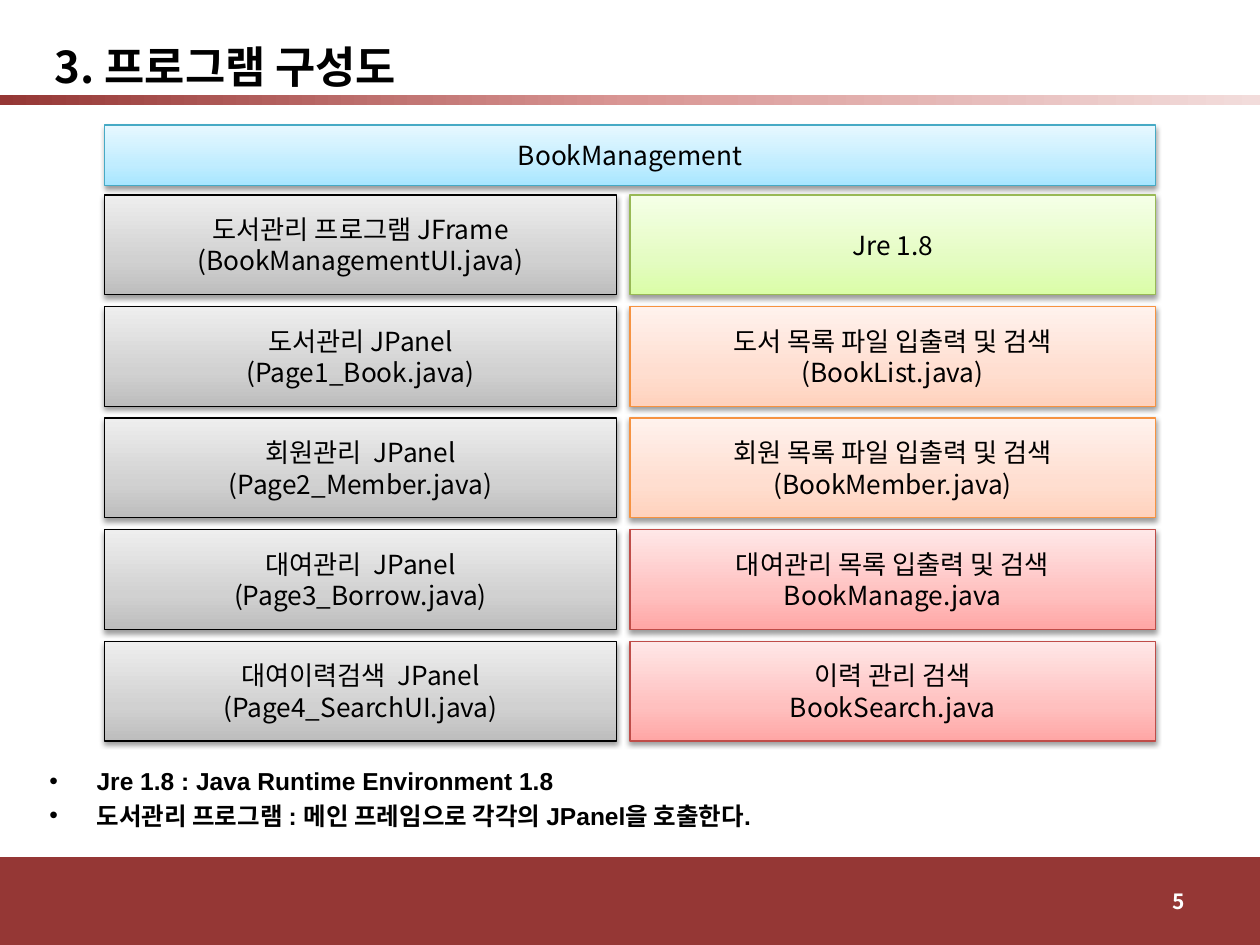
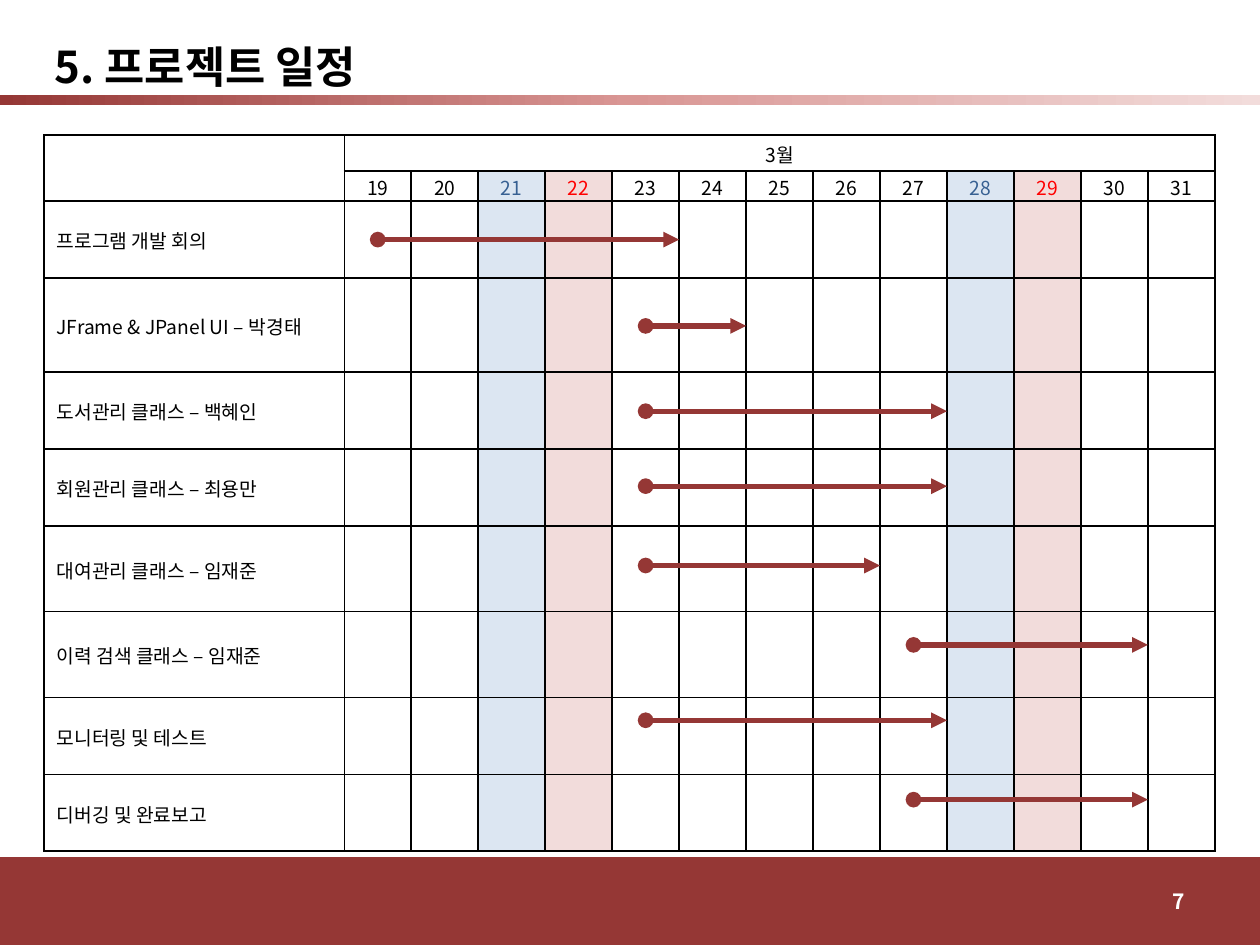
from itertools import chain

from lxml.etree import SubElement
from pptx import Presentation
from pptx.dml.color import RGBColor
from pptx.enum.shapes import MSO_CONNECTOR, MSO_SHAPE
from pptx.enum.text import MSO_ANCHOR, MSO_AUTO_SIZE, PP_ALIGN
from pptx.oxml.ns import qn
from pptx.util import Cm, Pt

KOREAN, LATIN = "Noto Sans CJK KR", "Arial"
BRAND, BLACK, WHITE = "953735", "000000", "FFFFFF"
BAND_STOPS = [(0, BRAND), (50, "D99694"), (100, "F2DCDB")]

TITLE_FONT = {"size": Pt(25), "bold": True}
MODULE_FONT = {"size": Pt(15), "bold": False}
NOTE_FONT = {"size": Pt(14), "bold": True}
PAGE_FONT = {"size": Pt(12), "bold": True}
TABLE_FONT = {"size": Pt(11), "bold": False}
MIDDLE = {"word_wrap": True, "auto_size": MSO_AUTO_SIZE.NONE,
          "vertical_anchor": MSO_ANCHOR.MIDDLE}
TOP = {**MIDDLE, "vertical_anchor": MSO_ANCHOR.TOP}
CELL = {"vertical_anchor": MSO_ANCHOR.MIDDLE, "margin_left": Cm(0.03),
        "margin_right": Cm(0.03), "margin_top": Cm(0.03), "margin_bottom": 0}

THEMES = {
    "main": ("46AAC5", ["A7E6FF", "C1EDFF", "E7F8FF"]),
    "screen": (BLACK, ["BDBDBD", "D1D1D1", "EEEEEE"]),
    "runtime": ("98B955", ["DAFDA7", "E4FCC2", "F5FFE7"]),
    "list": ("F69240", ["FFD2BD", "FFDED0", "FFF2ED"]),
    "rental": ("BF4C48", ["FFA6A5", "FFC0BF", "FFE7E7"]),
}
SCREENS = [
    ("screen", ["도서관리 프로그램 JFrame", "(BookManagementUI.java)"]),
    ("screen", ["도서관리 JPanel", "(Page1_Book.java)"]),
    ("screen", ["회원관리  JPanel", "(Page2_Member.java)"]),
    ("screen", ["대여관리  JPanel", "(Page3_Borrow.java)"]),
    ("screen", ["대여이력검색  JPanel", "(Page4_SearchUI.java)"]),
]
SERVICES = [
    ("runtime", ["Jre 1.8"]),
    ("list", ["도서 목록 파일 입출력 및 검색", "(BookList.java)"]),
    ("list", ["회원 목록 파일 입출력 및 검색", "(BookMember.java)"]),
    ("rental", ["대여관리 목록 입출력 및 검색", "BookManage.java"]),
    ("rental", ["이력 관리 검색", "BookSearch.java"]),
]
NOTES = ["Jre 1.8 : Java Runtime Environment 1.8",
         "도서관리 프로그램 : 메인 프레임으로 각각의 JPanel을 호출한다."]

DAYS = range(19, 32)
SATURDAY, SUNDAY = ("376092", "DCE6F2"), ("FF0000", "F2DCDB")
WEEKEND = {21: SATURDAY, 22: SUNDAY, 28: SATURDAY, 29: SUNDAY}
TASKS = [  # label, row height, first day, last day, arrow level
    ("프로그램 개발 회의", 1.55, 19, 23, 4.83),
    ("JFrame & JPanel UI – 박경태", 1.9, 23, 24, 6.57),
    ("도서관리 클래스 – 백혜인", 1.55, 23, 27, 8.29),
    ("회원관리 클래스 – 최용만", 1.55, 23, 27, 9.8),
    ("대여관리 클래스 – 임재준", 1.73, 23, 26, 11.4),
    ("이력 검색 클래스 – 임재준", 1.73, 27, 30, 13.0),
    ("모니터링 및 테스트", 1.55, 23, 27, 14.52),
    ("디버깅 및 완료보고", 1.55, 27, 30, 16.12),
]
HEADER_HEIGHTS = [0.73, 0.6]
TABLE_LEFT, TABLE_TOP, LABEL_WIDTH, DAY_WIDTH = 0.89, 2.72, 6.05, 1.35


def color(value):
    """Turn a hex string into a colour."""
    return RGBColor.from_string(value)


def cm(*lengths):
    """Convert several centimetre lengths."""
    return [Cm(length) for length in lengths]


def apply(target, formats):
    """Set every attribute listed in a format dict."""
    for name, value in formats.items():
        setattr(target, name, value)


def add(parent, tag, **attributes):
    """Append a DrawingML element with attributes."""
    return SubElement(parent, qn(f"a:{tag}"), {k: str(v) for k, v in attributes.items()})


def write(frame, lines, font, ink=BLACK, align=None, face=KOREAN):
    """Fill a text frame with one formatted paragraph per line."""
    for index, line in enumerate(lines):
        paragraph = frame.add_paragraph() if index else frame.paragraphs[0]
        paragraph.alignment = align
        run = paragraph.add_run()
        run.text = line
        apply(run.font, {**font, "name": face})
        run.font.color.rgb = color(ink)
        add(run.font._element, "ea", typeface=KOREAN)


def place(shape, box):
    """Move a placeholder to a box given in centimetres."""
    apply(shape, dict(zip(("left", "top", "width", "height"), cm(*box))))


def shade(shape, stops, angle):
    """Give a shape a linear gradient with any number of stops."""
    shape.fill.gradient()
    shape.fill.gradient_angle = angle
    stop_list = shape._element.spPr.find(qn("a:gradFill")).find(qn("a:gsLst"))
    for stop in list(stop_list):
        stop_list.remove(stop)
    for position, value in stops:
        add(add(stop_list, "gs", pos=position * 1000), "srgbClr", val=value)


def add_rectangle(slide, box):
    """Add a rectangle without shadow or line."""
    rectangle = slide.shapes.add_shape(MSO_SHAPE.RECTANGLE, *cm(*box))
    rectangle.shadow.inherit = False
    rectangle.line.fill.background()
    return rectangle


def start_slide(deck, layout, heading, page):
    """Add a slide with the shared footer, band, title and page number."""
    slide = deck.slides.add_slide(deck.slide_layouts.get_by_name(layout))
    footer = add_rectangle(slide, (0, 17.32, 25.4, 1.73))
    footer.fill.solid()
    footer.fill.fore_color.rgb = footer.line.color.rgb = color(BRAND)
    footer.line.width = Pt(2)
    shade(add_rectangle(slide, (0, 1.92, 25.4, 0.2)), BAND_STOPS, 0)
    title = slide.shapes.title
    place(title, (0.85, 0.74, 22.86, 1.17))
    apply(title.text_frame, MIDDLE)
    write(title.text_frame, [heading], TITLE_FONT, align=PP_ALIGN.LEFT)
    number = slide.shapes.add_textbox(*cm(18.2, 17.66, 5.93, 1.02)).text_frame
    apply(number, MIDDLE)
    write(number, [page], PAGE_FONT, WHITE, PP_ALIGN.RIGHT)
    return slide


def add_module(slide, box, theme, lines):
    """Draw one shaded program module with its caption."""
    edge, tones = THEMES[theme]
    module = add_rectangle(slide, box)
    shade(module, zip((0, 35, 100), tones), 90)
    module.line.color.rgb = color(edge)
    module.line.width = Pt(0.75)
    effects = module._element.spPr.find(qn("a:effectLst"))
    shadow = add(effects, "outerShdw", blurRad=Pt(3.1), dist=Pt(1.6),
                 dir=5400000, rotWithShape=0)
    add(add(shadow, "srgbClr", val=BLACK), "alpha", val=38000)
    apply(module.text_frame, MIDDLE)
    write(module.text_frame, lines, MODULE_FONT, align=PP_ALIGN.CENTER)


def build_structure(deck):
    """Build the program structure slide."""
    slide = start_slide(deck, "Title and Content", "3. 프로그램 구성도", "5")
    add_module(slide, (2.11, 2.52, 21.18, 1.22), "main", ["BookManagement"])
    for left, width, modules in ((2.11, 10.32, SCREENS), (12.7, 10.59, SERVICES)):
        for row, (theme, lines) in enumerate(modules):
            add_module(slide, (left, 3.93 + row * 2.25, width, 2.01), theme, lines)
    notes = slide.placeholders[1]
    place(notes, (0.74, 15.32, 23.9, 1.8))
    apply(notes.text_frame, TOP)
    write(notes.text_frame, NOTES, NOTE_FONT, face=LATIN)


def format_cell(cell, fill):
    """Set the margins, fill and borders of a table cell."""
    apply(cell, CELL)
    cell.text_frame.paragraphs[0]._p.get_or_add_endParaRPr().set("sz", "1100")
    properties = cell._tc.get_or_add_tcPr()
    for side in ("lnL", "lnR", "lnT", "lnB"):
        border = add(properties, side, w=Pt(1))
        add(add(border, "solidFill"), "srgbClr", val=BLACK)
    if fill:
        cell.fill.solid()
        cell.fill.fore_color.rgb = color(fill)
    else:
        cell.fill.background()


def add_arrow(slide, first, last, level):
    """Draw an arrow from the middle of the first day to the end of the last."""
    days_left = TABLE_LEFT + LABEL_WIDTH
    start = days_left + (first - DAYS[0] + 0.5) * DAY_WIDTH
    end = days_left + (last - DAYS[0] + 1) * DAY_WIDTH
    arrow = slide.shapes.add_connector(MSO_CONNECTOR.STRAIGHT, *cm(start, level, end, level))
    arrow.line.color.rgb = color(BRAND)
    arrow.line.width = Pt(3)
    line = arrow.line._get_or_add_ln()
    add(line, "headEnd", type="oval")
    add(line, "tailEnd", type="triangle")
    add(arrow._element.spPr, "effectLst")


def build_schedule(deck):
    """Build the project schedule slide."""
    slide = start_slide(deck, "Title Only", "5. 프로젝트 일정", "7")
    heights = HEADER_HEIGHTS + [task[1] for task in TASKS]
    widths = [LABEL_WIDTH] + [DAY_WIDTH] * len(DAYS)
    schedule = slide.shapes.add_table(
        len(heights), len(widths),
        *cm(TABLE_LEFT, TABLE_TOP, sum(widths), sum(heights))).table
    apply(schedule, {"first_row": False, "horz_banding": False})
    for row, height in zip(schedule.rows, heights):
        row.height = Cm(height)
    for column, width in zip(schedule.columns, widths):
        column.width = Cm(width)
    for row in range(len(heights)):
        for column, day in enumerate(chain([None], DAYS)):
            fill = WEEKEND[day][1] if row and day in WEEKEND else None
            format_cell(schedule.cell(row, column), fill)
    schedule.cell(0, 0).merge(schedule.cell(1, 0))
    schedule.cell(0, 1).merge(schedule.cell(0, len(DAYS)))
    write(schedule.cell(0, 1).text_frame, ["3월"], TABLE_FONT, align=PP_ALIGN.CENTER)
    for column, day in enumerate(DAYS, 1):
        ink = WEEKEND.get(day, (BLACK,))[0]
        write(schedule.cell(1, column).text_frame, [str(day)], TABLE_FONT, ink, PP_ALIGN.CENTER)
    for row, (label, _, first, last, level) in enumerate(TASKS, len(HEADER_HEIGHTS)):
        task = schedule.cell(row, 0)
        task.margin_left = Cm(0.25)
        write(task.text_frame, [label], TABLE_FONT)
        add_arrow(slide, first, last, level)


def main():
    """Build and save the two slides."""
    deck = Presentation()
    apply(deck, {"slide_width": Cm(25.4), "slide_height": Cm(19.05)})
    build_structure(deck)
    build_schedule(deck)
    deck.save("out.pptx")


if __name__ == "__main__":
    main()
